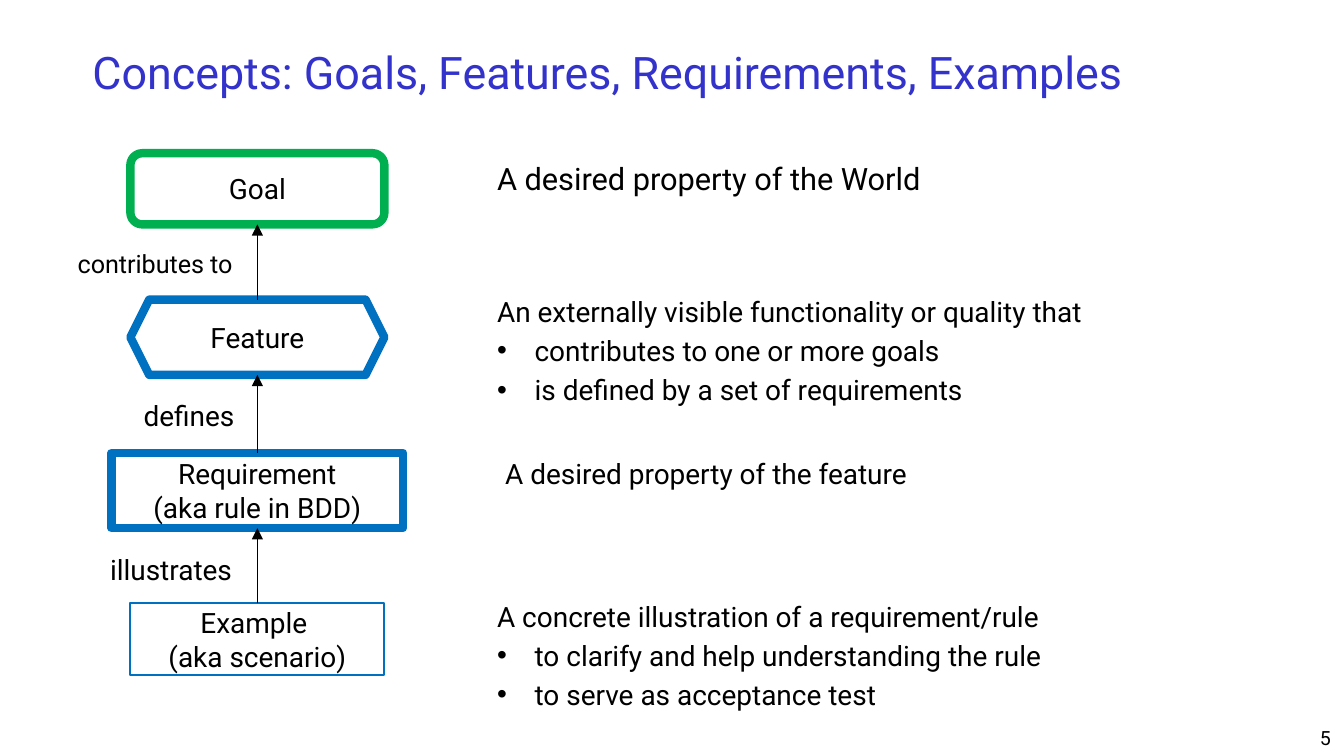
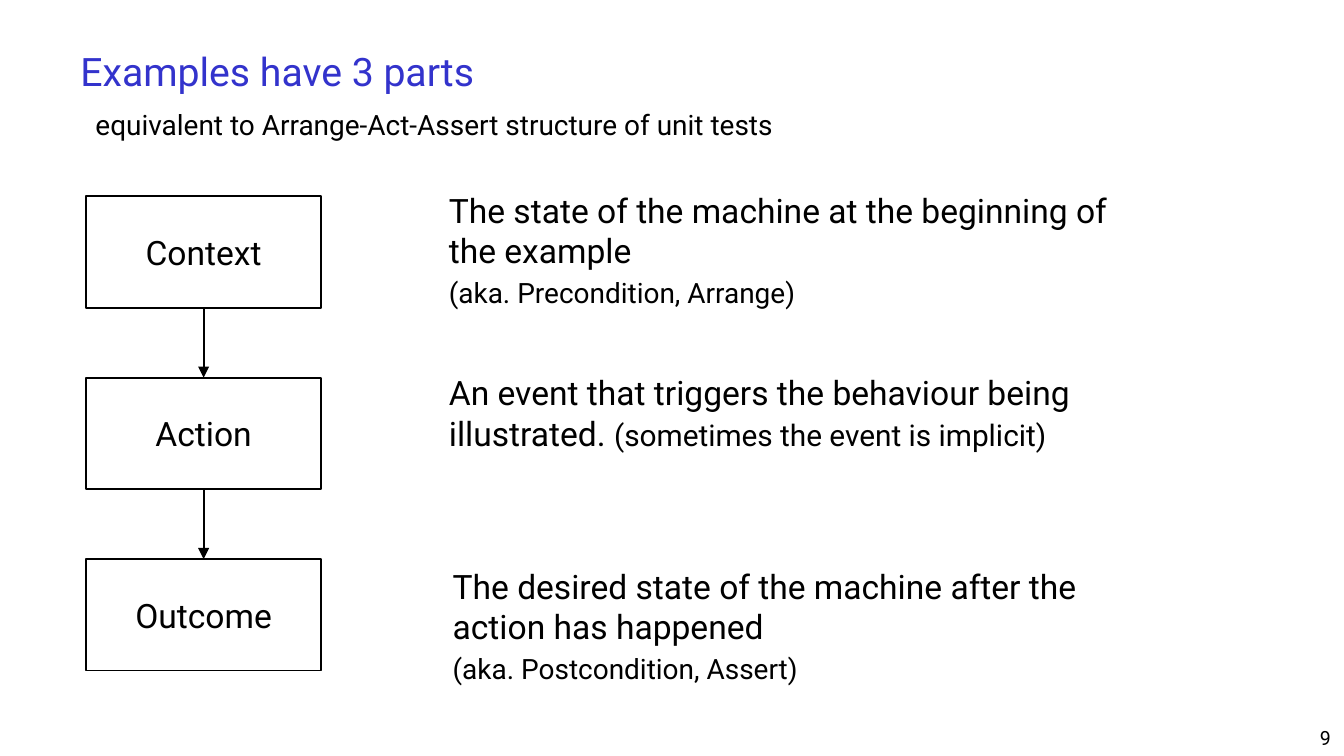
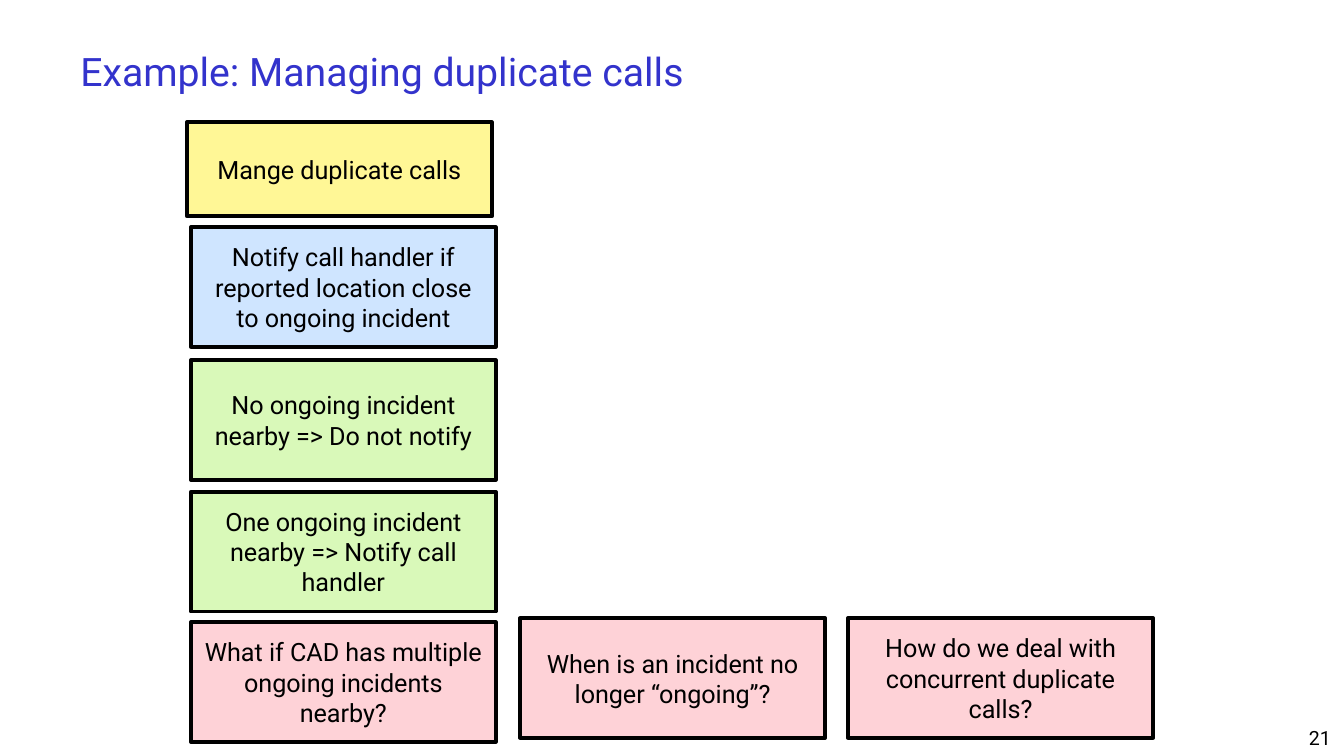
from collections import namedtuple
from dataclasses import dataclass

from lxml import etree
from pptx import Presentation
from pptx import util as u
from pptx.dml.color import RGBColor
from pptx.enum import shapes, text
from pptx.oxml.ns import qn

Box = namedtuple("Box", "left top width height")
SHAPE = shapes.MSO_SHAPE
ALIGN = text.PP_ALIGN
MIDDLE = text.MSO_ANCHOR.MIDDLE


@dataclass(frozen=True)
class Theme:
    font: str = "Roboto"
    bullet_font: str = "Arial"
    ink: str = "000000"
    paper: str = "FFFFFF"
    title: str = "3333CC"
    goal: str = "00B050"
    feature: str = "0070C0"
    story_card: str = "FFF796"
    rule_card: str = "CFE5FF"
    example_card: str = "D9F9B9"
    question_card: str = "FED2D7"
    wide_title_size: float = 24
    title_size: float = 21
    large: float = 18
    lead: float = 16.5
    aside: float = 16
    body: float = 15
    small: float = 13.5
    page_size: float = 10.5
    spacing: float = 0.2
    bullet_indent: float = 0.28


THEME = Theme()
TIGHT = {"margin_left": u.Inches(0.07), "margin_right": u.Inches(0.07),
         "margin_top": u.Inches(0.04), "margin_bottom": u.Inches(0.04)}


def inches(box):
    return [u.Inches(length) for length in box]


def apply(target, formats):
    for name, value in formats.items():
        setattr(target, name, value)


def add_bullet(paragraph):
    properties = paragraph._p.get_or_add_pPr()
    indent = u.Inches(THEME.bullet_indent)
    properties.set("marL", str(indent))
    properties.set("indent", str(-indent))
    etree.SubElement(properties, qn("a:buFont")).set("typeface", THEME.bullet_font)
    etree.SubElement(properties, qn("a:buChar")).set("char", "•")


def write(frame, lines, size, color=THEME.ink, align=None, spacing=0, **formats):
    """Fill a frame; a line is a string or a list of (text, size) runs."""
    apply(frame, {"word_wrap": True, **formats})
    for index, line in enumerate(lines):
        paragraph = frame.paragraphs[0] if index == 0 else frame.add_paragraph()
        runs = [(line, size)] if isinstance(line, str) else line
        apply(paragraph, {"alignment": align,
                          "space_before": u.Pt(spacing * runs[0][1])})
        for words, run_size in runs:
            bulleted = words.startswith("• ")
            if bulleted:
                add_bullet(paragraph)
            run = paragraph.add_run()
            run.text = words[2:] if bulleted else words
            apply(run.font, {"name": THEME.font, "size": u.Pt(run_size)})
            run.font.color.rgb = RGBColor.from_string(color)


def add_text(slide, box, lines, size, **formats):
    frame = slide.shapes.add_textbox(*inches(box)).text_frame
    write(frame, lines, size, **formats)


def add_note(slide, box, lines, size, **formats):
    add_text(slide, box, lines, size, spacing=THEME.spacing, **formats)


def add_node(slide, box, lines, size, kind=SHAPE.RECTANGLE, fill=THEME.paper,
             line=THEME.ink, weight=1, corner=None):
    node = slide.shapes.add_shape(kind, *inches(box))
    node.shadow.inherit = False
    node.fill.solid()
    node.fill.fore_color.rgb = RGBColor.from_string(fill)
    node.line.color.rgb = RGBColor.from_string(line)
    node.line.width = u.Pt(weight)
    if corner is not None:
        node.adjustments[0] = corner
    write(node.text_frame, lines, size, align=ALIGN.CENTER, vertical_anchor=MIDDLE)


def add_arrow(slide, x, start, end, weight):
    arrow = slide.shapes.add_connector(shapes.MSO_CONNECTOR.STRAIGHT,
                                       *inches((x, start, x, end)))
    arrow.line.color.rgb = RGBColor.from_string(THEME.ink)
    arrow.line.width = u.Pt(weight)
    etree.SubElement(arrow.line._get_or_add_ln(), qn("a:tailEnd")).set("type", "triangle")
    etree.SubElement(arrow._element.spPr, qn("a:effectLst"))


def add_page(deck, title, number, left=0.5, width=9, size=THEME.title_size):
    slide = deck.slides.add_slide(deck.slide_layouts[6])
    add_text(slide, Box(left, 0.25, width, 0.56), [title], size,
             color=THEME.title, vertical_anchor=MIDDLE)
    add_text(slide, Box(7.92, 5.35, 2.08, 0.27), [str(number)],
             THEME.page_size, align=ALIGN.RIGHT)
    return slide


def concept_ladder(slide, box):
    """Stack the concepts, each with an arrow up to the one it serves."""
    bold = {"line": THEME.feature, "weight": 4.5}
    concepts = [
        (0, 1.89, 0.53, ["Goal"],
         {"kind": SHAPE.ROUNDED_RECTANGLE, "line": THEME.goal, "weight": 4.5}),
        (1.09, 1.89, 0.56, ["Feature"], {"kind": SHAPE.HEXAGON, **bold}),
        (2.23, 2.17, 0.56, ["Requirement", "(aka rule in BDD)"],
         {"kind": SHAPE.HEXAGON, "corner": 0, **bold}),
        (3.35, 1.89, 0.53, ["Example ", "(aka scenario)"],
         {"kind": SHAPE.ROUNDED_RECTANGLE, "corner": 0, "line": THEME.feature}),
    ]
    center = box.left + box.width / 2
    for top, width, height, lines, look in concepts:
        place = Box(center - width / 2, box.top + top, width, height)
        add_node(slide, place, lines, THEME.body, **look)
    for upper, lower in zip(concepts, concepts[1:]):
        add_arrow(slide, center, box.top + lower[0], box.top + upper[0] + upper[2], 0.75)

    relations = [
        (-0.35, 0.66, 1.7, 0.37, "contributes to", THEME.small),
        (0.14, 1.78, 1.09, 0.34, "defines", THEME.body),
        (-0.11, 2.92, 1.22, 0.3, "illustrates", THEME.body),
    ]
    for left, top, width, height, label, size in relations:
        add_note(slide, Box(box.left + left, box.top + top, width, height), [label], size)


def concept_definitions(slide, box):
    definitions = [
        (0, 0, 4.71, 0.65, THEME.lead, ["A desired property of the World"]),
        (0, 1, 4.94, 0.65, THEME.body,
         ["An externally visible functionality or quality that",
          "• contributes to one or more goals",
          "• is defined by a set of requirements"]),
        (0.06, 2.21, 4.94, 0.56, THEME.body, ["A desired property of the feature"]),
        (0, 3.27, 4.94, 0.94, THEME.body,
         ["A concrete illustration of a requirement/rule",
          "• to clarify and help understanding the rule",
          "• to serve as acceptance test"]),
    ]
    for left, top, width, height, size, lines in definitions:
        place = Box(box.left + left, box.top + top, width, height)
        add_note(slide, place, lines, size)


def example_flow(slide, box):
    """Three steps at an equal pitch, joined by downward arrows."""
    height, pitch = 0.83, 1.35
    for index, step in enumerate(["Context", "Action", "Outcome"]):
        top = box.top + index * pitch
        add_node(slide, Box(box.left, top, box.width, height), [step], THEME.large)
        if index:
            add_arrow(slide, box.left + box.width / 2, top - pitch + height, top, 1)


def step_descriptions(slide, box):
    descriptions = [
        (0, TIGHT, ["The state of the machine at the beginning of the example",
                    [("(aka. Precondition, Arrange)", THEME.body)]]),
        (1.36, TIGHT, [[("An event that triggers the behaviour being illustrated. ",
                         THEME.large),
                        ("(sometimes the event is implicit)", THEME.aside)]]),
        (2.79, {}, ["The desired state of the machine after the action has happened",
                    [("(aka. Postcondition, Assert)", THEME.body)]]),
    ]
    for top, margins, lines in descriptions:
        add_note(slide, Box(box.left, box.top + top, box.width, 1), lines,
                 THEME.large, **margins)


def example_map(slide, box):
    """Cards for story, rule, examples and open questions."""
    question_pitch = 2.44
    cards = [
        (0, 0, 0.7, THEME.story_card, "Mange duplicate calls"),
        (0.03, 0.78, 0.89, THEME.rule_card,
         "Notify call handler if reported location close to ongoing incident"),
        (0.03, 1.77, 0.89, THEME.example_card,
         "No ongoing incident nearby => Do not notify"),
        (0.03, 2.75, 0.89, THEME.example_card,
         "One ongoing incident nearby => Notify call handler"),
        (0.03, 3.72, 0.89, THEME.question_card,
         "What if CAD has multiple ongoing incidents nearby?"),
        (0.04 + question_pitch, 3.69, 0.89, THEME.question_card,
         "When is an incident no longer “ongoing”?"),
        (0.04 + 2 * question_pitch, 3.69, 0.89, THEME.question_card,
         "How do we deal with concurrent duplicate calls?"),
    ]
    for left, top, height, fill, words in cards:
        place = Box(box.left + left, box.top + top, box.width, height)
        add_node(slide, place, [words], THEME.small, fill=fill, weight=2)


def main():
    deck = Presentation()
    width = u.Inches(10)
    apply(deck, {"slide_width": width, "slide_height": width * 9 // 16})

    concepts = add_page(deck, "Concepts: Goals, Features, Requirements, Examples", 5,
                        left=0.59, width=8.86, size=THEME.wide_title_size)
    concept_ladder(concepts, Box(0.83, 1.14, 2.17, 3.88))
    concept_definitions(concepts, Box(3.6, 1.14, 5, 4.21))

    parts = add_page(deck, "Examples have 3 parts", 9)
    add_note(parts, Box(0.64, 0.76, 6.75, 0.39),
             ["equivalent to Arrange-Act-Assert structure of unit tests"],
             THEME.body, **TIGHT)
    example_flow(parts, Box(0.64, 1.46, 1.75, 3.53))
    step_descriptions(parts, Box(3.27, 1.37, 5.34, 3.79))

    duplicates = add_page(deck, "Example: Managing duplicate calls", 21)
    example_map(duplicates, Box(1.39, 0.91, 2.27, 4.61))

    deck.save("out.pptx")


if __name__ == "__main__":
    main()
